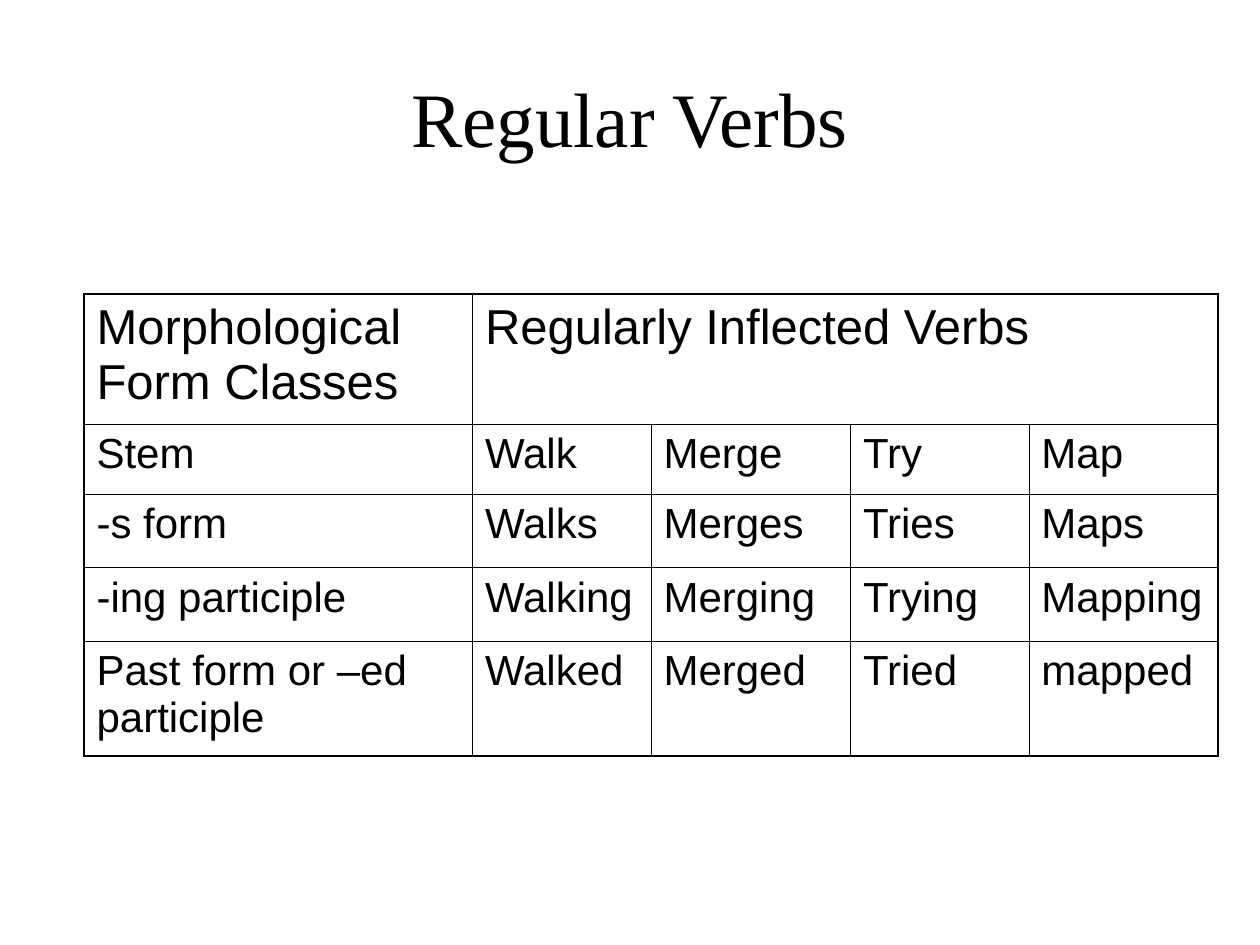
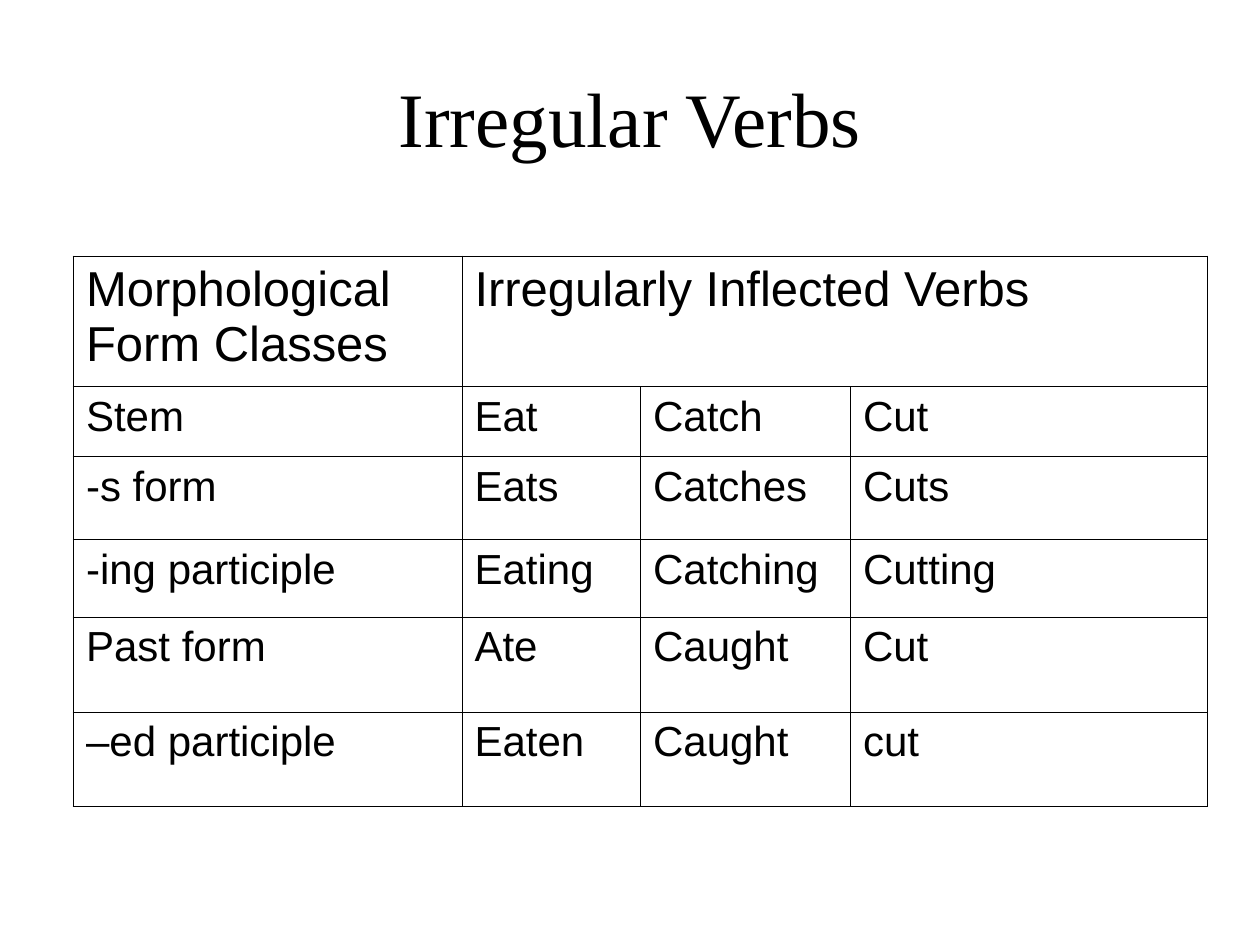
import pptx
import pptx.dml.color
import pptx.enum.text
import pptx.oxml.ns
import pptx.util
from lxml import etree

VERB_SLIDES = [
    {
        "title": "Regular Verbs",
        "left": 48,
        "top": 168,
        "column_widths": [222, 102, 114, 102, 108],
        "row_heights": [74.5, 40, 42, 42, 65.5],
        "header": ["Morphological Form Classes", "Regularly Inflected Verbs"],
        "forms": [
            ["Stem", "Walk", "Merge", "Try", "Map"],
            ["-s form", "Walks", "Merges", "Tries", "Maps"],
            ["-ing participle", "Walking", "Merging", "Trying", "Mapping"],
            ["Past form or –ed participle", "Walked", "Merged", "Tried", "mapped"],
        ],
    },
    {
        "title": "Irregular Verbs",
        "left": 42,
        "top": 146.5,
        "column_widths": [222, 102, 120, 204],
        "row_heights": [74.5, 40, 47.5, 44.5, 54, 54],
        "header": ["Morphological Form Classes", "Irregularly Inflected Verbs"],
        "forms": [
            ["Stem", "Eat", "Catch", "Cut"],
            ["-s form", "Eats", "Catches", "Cuts"],
            ["-ing participle", "Eating", "Catching", "Cutting"],
            ["Past form", "Ate", "Caught", "Cut"],
            ["–ed participle", "Eaten", "Caught", "cut"],
        ],
    },
]

BLACK = pptx.dml.color.RGBColor(0, 0, 0)
TITLE_FONT = "Times New Roman"
TABLE_FONT = "Arial"
TITLE_BOX = (36, 21.6, 648, 90)
INNER_LINE = 0.45
OUTER_LINE = 1.08
Pt = pptx.util.Pt


def write_text(frame, text, *, size, font=TABLE_FONT, color=BLACK, space_before=0,
               align=pptx.enum.text.PP_ALIGN.LEFT):
    frame.word_wrap = True
    paragraph = frame.paragraphs[0]
    paragraph.alignment = align
    paragraph.space_before = Pt(space_before)
    run = paragraph.add_run()
    run.text = text
    run.font.size = Pt(size)
    run.font.name = font
    run.font.color.rgb = color


def add_title(slide, text):
    box = slide.shapes.add_textbox(*map(Pt, TITLE_BOX))
    box.text_frame.vertical_anchor = pptx.enum.text.MSO_ANCHOR.MIDDLE
    write_text(box.text_frame, text, size=44, font=TITLE_FONT,
               align=pptx.enum.text.PP_ALIGN.CENTER)


def set_borders(cell, outer_edges):
    properties = cell._tc.get_or_add_tcPr()
    qn = pptx.oxml.ns.qn
    for side, is_outer in outer_edges.items():
        width = OUTER_LINE if is_outer else INNER_LINE
        line = etree.SubElement(properties, qn(f"a:ln{side}"), w=str(int(Pt(width))))
        fill = etree.SubElement(line, qn("a:solidFill"))
        etree.SubElement(fill, qn("a:srgbClr"), val=str(BLACK))


def add_verb_table(slide, content):
    widths, heights = content["column_widths"], content["row_heights"]
    last_row, last_column = len(heights) - 1, len(widths) - 1
    frame = slide.shapes.add_table(
        len(heights), len(widths), Pt(content["left"]), Pt(content["top"]),
        Pt(sum(widths)), Pt(sum(heights)))
    table = frame.table
    table.first_row = False
    table.horz_banding = False
    for column, width in zip(table.columns, widths):
        column.width = Pt(width)
    for row, height in zip(table.rows, heights):
        row.height = Pt(height)
    table.cell(0, 1).merge(table.cell(0, last_column))

    for row_index in range(len(heights)):
        for column_index in range(len(widths)):
            cell = table.cell(row_index, column_index)
            set_borders(cell, {
                "L": column_index == 0,
                "R": column_index == last_column or (row_index == 0 and column_index > 0),
                "T": row_index == 0,
                "B": row_index == last_row,
            })
            cell.fill.background()

    for row_index, texts in enumerate([content["header"], *content["forms"]]):
        size, space_before = (28, 7) if row_index == 0 else (24, 6)
        for column_index, text in enumerate(texts):
            write_text(table.cell(row_index, column_index).text_frame, text,
                       size=size, space_before=space_before)


def main():
    presentation = pptx.Presentation()
    presentation.slide_width = Pt(720)
    presentation.slide_height = Pt(540)
    for content in VERB_SLIDES:
        slide = presentation.slides.add_slide(presentation.slide_layouts[6])
        add_title(slide, content["title"])
        add_verb_table(slide, content)
    presentation.save("out.pptx")


if __name__ == "__main__":
    main()
